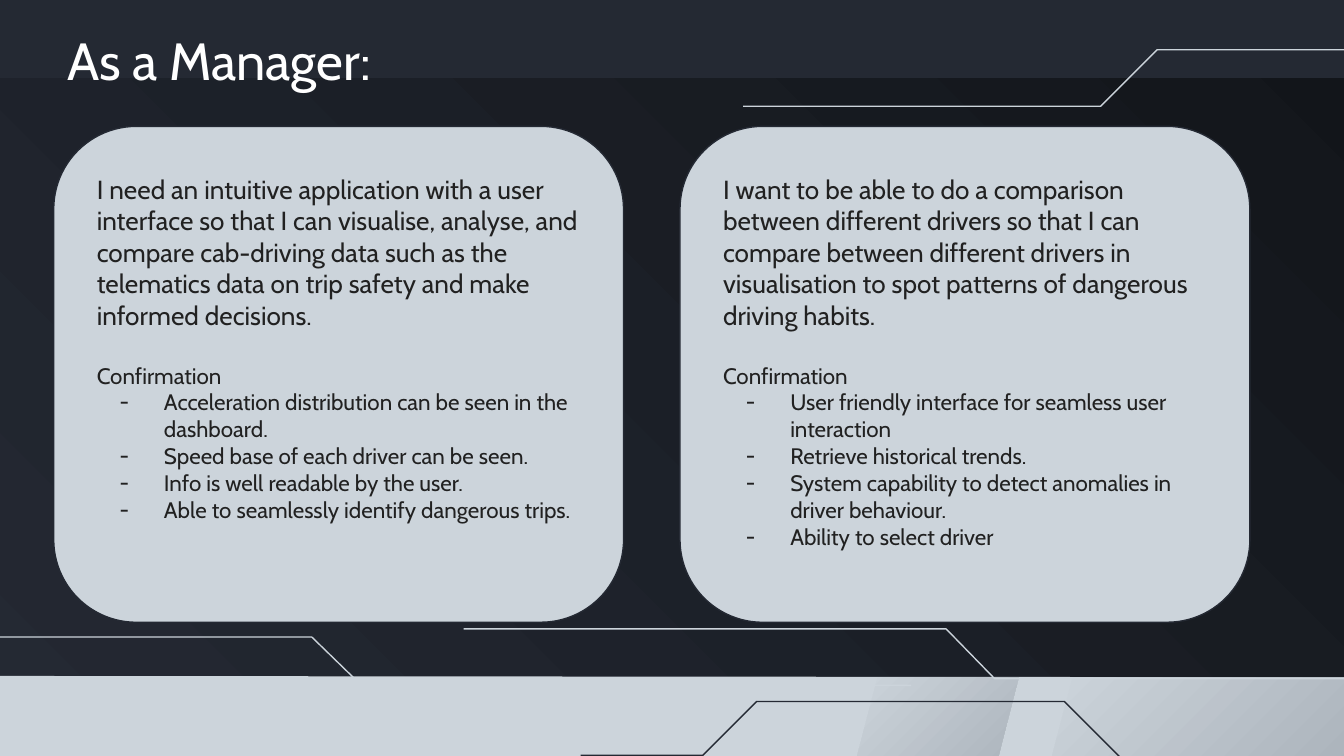
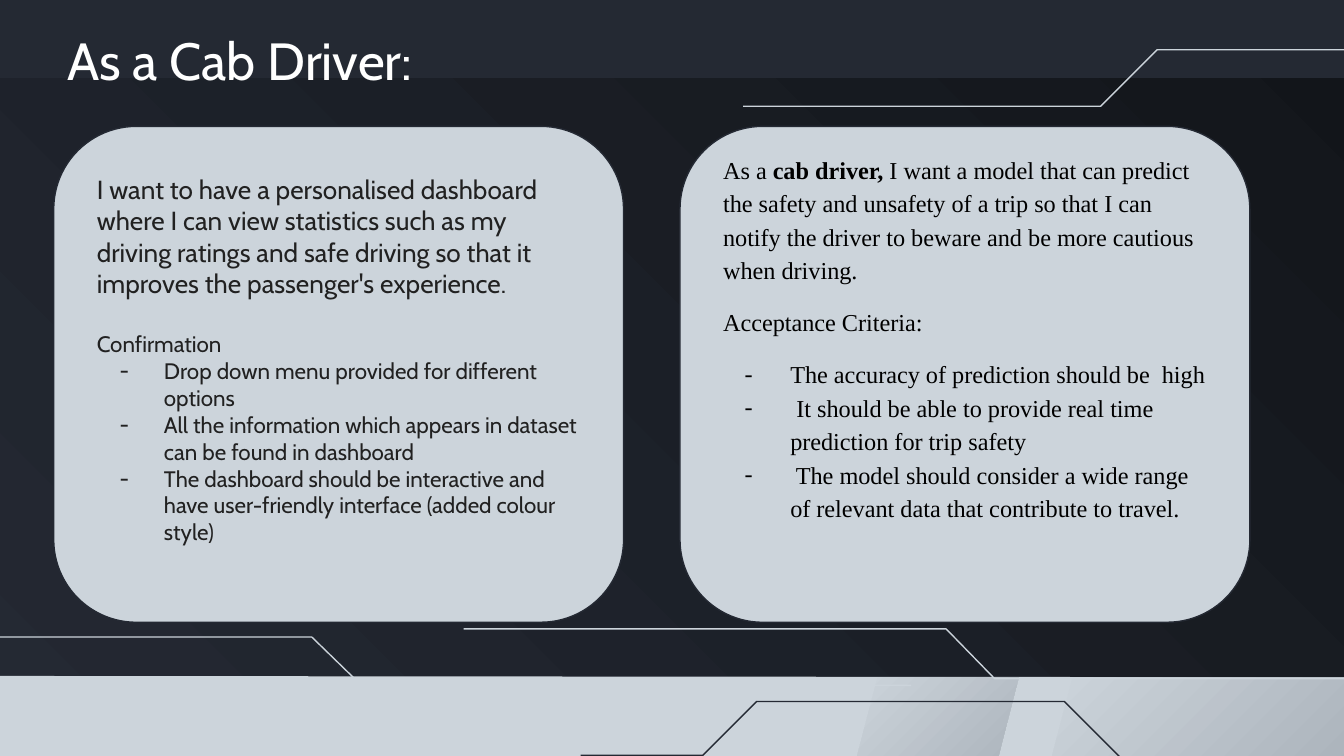
from lxml.etree import SubElement
from pptx import Presentation
from pptx.dml.color import RGBColor
from pptx.enum.shapes import MSO_SHAPE
from pptx.enum.text import MSO_ANCHOR, MSO_AUTO_SIZE, PP_ALIGN
from pptx.oxml.ns import qn
from pptx.util import Inches, Pt

# Shared look
NAVY, INK, PALE, STEEL = "242933", "12151A", "CCD4DB", "ABB3BB"
WHITE, TEXT, BLACK = "FFFFFF", "212121", "000000"
SANS, SERIF = "Cabin", "Times New Roman"
SLIDE_WIDTH = Inches(10)
SLIDE_HEIGHT = SLIDE_WIDTH * 9 // 16
CARD_LEFTS = (0.4, 5.06)
CARD_TOP, CARD_WIDTH, CARD_HEIGHT = 0.94, 4.24, 3.69
TEXT_INSET, TEXT_WIDTH, TEXT_HEIGHT = 0.22, 3.8, 3.22

# Outlines in inches
FOOTER_BAND = [(-0.01, 5.03), (-0.01, 5.77), (9.99, 5.75), (9.99, 5.04)]
FOOTER_PANELS = [
    [(6.53, 5.04), (6.34, 5.77), (7.39, 5.78), (7.58, 5.04)],
    [(7.98, 5.04), (7.79, 5.77), (10.01, 5.77), (10.01, 5.04)],
]
CIRCUIT_LINES = [
    (PALE, [(12.01, 0.65), (10.48, 0.65), (10.21, 0.37), (8.61, 0.37),
            (8.19, 0.79), (5.53, 0.79)]),
    (NAVY, [(4.32, 5.62), (5.23, 5.62), (5.63, 5.22), (7.92, 5.22),
            (8.52, 5.82), (10.51, 5.82)]),
    (PALE, [(-1.27, 4.74), (2.32, 4.74), (2.69, 5.1), (6.78, 5.1)]),
    (PALE, [(3.45, 4.68), (7.04, 4.68), (7.4, 5.05), (11.5, 5.05)]),
]


def color(hex_value):
    return RGBColor.from_string(hex_value)


def set_solid(fill, hex_value):
    fill.solid()
    fill.fore_color.rgb = color(hex_value)


def set_gradient(fill, start, end, angle):
    fill.gradient()
    fill.gradient_angle = angle
    for stop, hex_value, position in zip(fill.gradient_stops, (start, end), (0, 1)):
        stop.color.rgb = color(hex_value)
        stop.position = position


def set_line(shape, hex_value):
    shape.line.color.rgb = color(hex_value)
    shape.line.width = Pt(0.75)


def add_outline(slide, points, closed):
    corners = [(Inches(x), Inches(y)) for x, y in points]
    builder = slide.shapes.build_freeform(*corners[0])
    builder.add_line_segments(corners[1:], close=closed)
    shape = builder.convert_to_shape()
    shape.shadow.inherit = False
    return shape


def add_box(slide, kind, left, top, width, height, fill):
    shape = slide.shapes.add_shape(
        kind, Inches(left), Inches(top), Inches(width), Inches(height))
    shape.shadow.inherit = False
    set_solid(shape.fill, fill)
    shape.line.fill.background()
    return shape


def add_decoration(slide):
    band = add_outline(slide, FOOTER_BAND, True)
    set_solid(band.fill, PALE)
    band.line.fill.background()
    for points in FOOTER_PANELS:
        panel = add_outline(slide, points, True)
        set_gradient(panel.fill, PALE, STEEL, 315)
        panel.line.fill.background()
    add_box(slide, MSO_SHAPE.RECTANGLE, 0, -0.02, 10, 0.6, NAVY)
    for hex_value, points in CIRCUIT_LINES:
        circuit = add_outline(slide, points, False)
        circuit.fill.background()
        set_line(circuit, hex_value)


def place_placeholder(slide, placeholder, left, top, width, height):
    """Move a placeholder to the front and into position."""
    slide.shapes._spTree.append(placeholder._element)
    placeholder.left, placeholder.top = Inches(left), Inches(top)
    placeholder.width, placeholder.height = Inches(width), Inches(height)
    frame = placeholder.text_frame
    frame.word_wrap = True
    frame.auto_size = MSO_AUTO_SIZE.NONE
    frame.vertical_anchor = MSO_ANCHOR.TOP
    frame.margin_left = frame.margin_right = Inches(0.1)
    frame.margin_top = frame.margin_bottom = Inches(0.1)
    return frame


def format_runs(paragraph, font_name, size, hex_value):
    for run in paragraph.runs:
        run.font.name = font_name
        run.font.size = Pt(size)
        run.font.color.rgb = color(hex_value)


def set_bullet(paragraph, hanging, font_name, hex_value):
    """Give a paragraph a dash, or no bullet when hanging is zero."""
    properties = paragraph._p.get_or_add_pPr()
    properties.set("marL", str(Inches(0.5 if hanging else 0)))
    properties.set("indent", str(Inches(-hanging)))
    if not hanging:
        SubElement(properties, qn("a:buNone"))
        return
    bullet_color = SubElement(properties, qn("a:buClr"))
    SubElement(bullet_color, qn("a:srgbClr"), val=hex_value)
    SubElement(properties, qn("a:buFont"), typeface=font_name)
    SubElement(properties, qn("a:buChar"), char="-")


def add_paragraph(frame, text, font_name, size, hex_value, hanging=0,
                  before=0, spacing=1.0):
    """Add a paragraph; words between asterisks are bold."""
    first = frame.paragraphs[0]
    paragraph = frame.add_paragraph() if first.runs else first
    set_bullet(paragraph, hanging, font_name, hex_value)
    paragraph.space_before = Pt(before)
    paragraph.line_spacing = spacing
    for index, part in enumerate(text.split("*")):
        run = paragraph.add_run()
        run.text = part
        if index % 2:
            run.font.bold = True
    format_runs(paragraph, font_name, size, hex_value)


def fill_story(frame, story, points):
    add_paragraph(frame, story, SANS, 14, TEXT)
    add_paragraph(frame, "Confirmation", SANS, 12, TEXT, before=16.8)
    for point in points:
        add_paragraph(frame, point, SANS, 12, TEXT, hanging=0.33)


def fill_criteria(frame, story, points):
    style = (SERIF, 13, BLACK)
    add_paragraph(frame, story, *style, spacing=1.15)
    add_paragraph(frame, "Acceptance Criteria:", *style, before=10, spacing=1.15)
    for index, point in enumerate(points):
        add_paragraph(frame, point, *style, hanging=0.34,
                      before=0 if index else 10, spacing=1.15)


def add_story_slide(presentation, title, cards):
    """Each card is (fill function, text top, story, points)."""
    slide = presentation.slides.add_slide(presentation.slide_layouts[3])
    title_shape, *bodies = slide.placeholders
    add_decoration(slide)

    frame = place_placeholder(slide, title_shape, 0.4, 0.11, 6.35, 0.59)
    frame.text = title
    frame.paragraphs[0].alignment = PP_ALIGN.LEFT
    format_runs(frame.paragraphs[0], SANS, 28, WHITE)

    for left, body, card in zip(CARD_LEFTS, bodies, cards):
        fill_text, text_top, story, points = card
        panel = add_box(slide, MSO_SHAPE.ROUNDED_RECTANGLE, left, CARD_TOP,
                        CARD_WIDTH, CARD_HEIGHT, PALE)
        set_line(panel, NAVY)
        frame = place_placeholder(slide, body, left + TEXT_INSET, text_top,
                                  TEXT_WIDTH, TEXT_HEIGHT)
        fill_text(frame, story, points)


def main():
    presentation = Presentation()
    presentation.slide_width = SLIDE_WIDTH
    presentation.slide_height = SLIDE_HEIGHT
    set_gradient(presentation.slide_master.background.fill, INK, NAVY, 225)

    # Manager stories
    add_story_slide(presentation, "As a Manager:", [
        (fill_story, 1.19,
         "I need an intuitive application with a user interface so that I can "
         "visualise, analyse, and compare cab-driving data such as the "
         "telematics data on trip safety and make informed decisions.",
         ["Acceleration distribution can be seen in the dashboard.",
          "Speed base of each driver can be seen.",
          "Info is well readable by the user.",
          "Able to seamlessly identify dangerous trips."]),
        (fill_story, 1.19,
         "I want to be able to do a comparison between different drivers so "
         "that I can compare between different drivers in visualisation to "
         "spot patterns of dangerous driving habits.",
         ["User friendly interface for seamless user interaction",
          "Retrieve historical trends.",
          "System capability to detect anomalies in driver behaviour.",
          "Ability to select driver"]),
    ])

    # Cab driver stories
    add_story_slide(presentation, "As a Cab Driver:", [
        (fill_story, 1.19,
         "I want to have a personalised dashboard where I can view statistics "
         "such as my driving ratings and safe driving so that it improves the "
         "passenger's experience.",
         ["Drop down menu provided for different options",
          "All the information which appears in dataset can be found in dashboard",
          "The dashboard should be interactive and have user-friendly interface "
          "(added colour style)"]),
        (fill_criteria, 1.02,
         "As a *cab driver, *I want a model that can predict the safety and "
         "unsafety of a trip so that I can notify the driver to beware and be "
         "more cautious when driving.",
         ["The accuracy of prediction should be  high",
          " It should be able to provide real time prediction for trip safety",
          " The model should consider a wide range of relevant data that "
          "contribute to travel."]),
    ])

    presentation.save("out.pptx")


if __name__ == "__main__":
    main()
